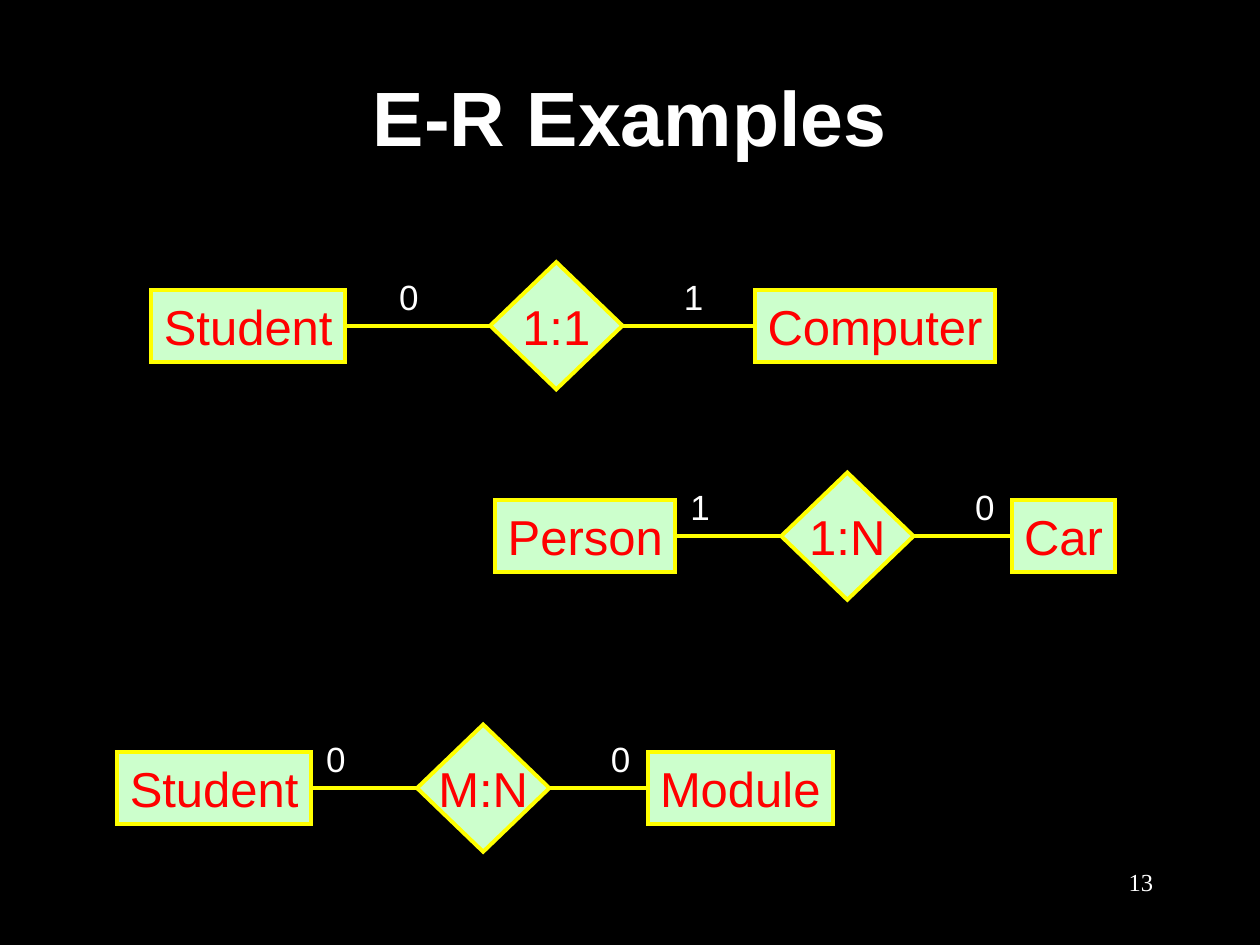
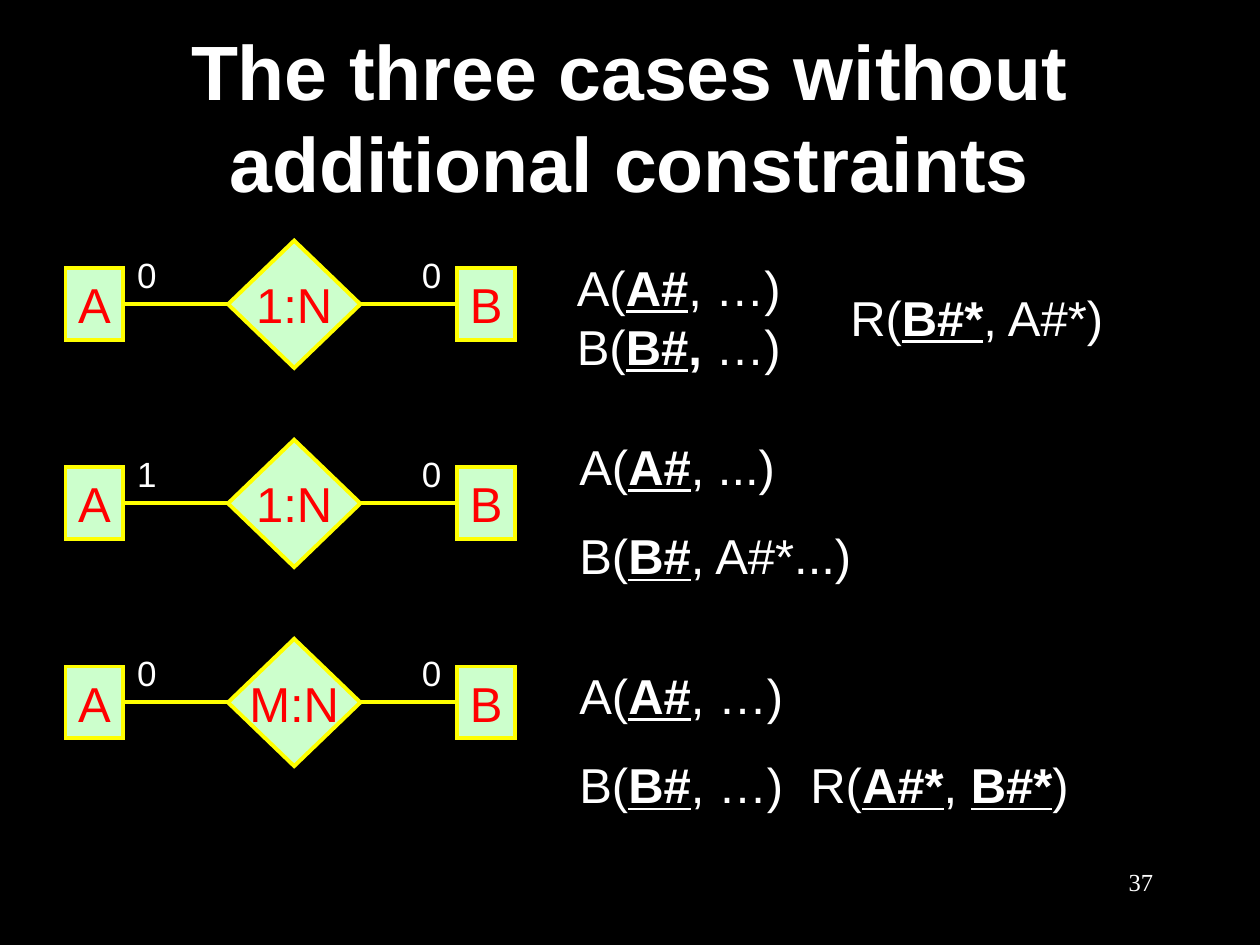
from dataclasses import dataclass
from functools import partial
from typing import NamedTuple

from lxml import etree
from pptx import Presentation
from pptx import util as u
from pptx.dml.color import RGBColor
from pptx.enum import shapes, text
from pptx.oxml.ns import qn


# Shared look
@dataclass(frozen=True)
class Theme:
    background: RGBColor = RGBColor(0x00, 0x00, 0x00)
    ink: RGBColor = RGBColor(0xFF, 0xFF, 0xFF)
    node_fill: RGBColor = RGBColor(0xCC, 0xFF, 0xCC)
    node_text: RGBColor = RGBColor(0xFF, 0x00, 0x00)
    outline: RGBColor = RGBColor(0xFF, 0xFF, 0x00)
    outline_width: float = 2.25
    font: str = "Arial"
    number_font: str = "Times New Roman"
    title_size: int = 44
    body_size: int = 28
    label_size: int = 20
    number_size: int = 14


THEME = Theme()
ALIGN = text.PP_ALIGN
ANCHOR = text.MSO_ANCHOR
FIT = text.MSO_AUTO_SIZE


# Content types
class Span(NamedTuple):
    text: str
    bold: bool = False
    underline: bool = False


class Entity(NamedTuple):
    name: str
    left: float
    width: float


class Relationship(NamedTuple):
    """Two entities joined through a diamond, with a minimum at each end."""
    source: Entity
    target: Entity
    cardinality: str
    minimums: tuple[str, str]
    left: float  # of the diamond
    top: float


class Schema(NamedTuple):
    left: float
    top: float
    width: float
    height: float
    lines: list[list[Span]]
    space_before: float = 0
    wrap: bool = False


KEY = partial(Span, bold=True, underline=True)

# Relationship geometry, measured from the diamond's corner
DIAMOND_WIDTH, DIAMOND_HEIGHT = 1.05, 1.01
ENTITY_HEIGHT = 0.57
ENTITY_DROP = (DIAMOND_HEIGHT - ENTITY_HEIGHT) / 2
MINIMUM_OFFSETS = (-0.82, 1.44)
MINIMUM_DROP = 0.05
MINIMUM_WIDTH, MINIMUM_HEIGHT = 0.35, 0.44


def place(left: float, top: float, width: float, height: float) -> tuple:
    return tuple(u.Inches(n) for n in (left, top, width, height))


def write(frame, lines: list[list[Span]], *, size: float = THEME.body_size,
          color: RGBColor = THEME.ink, font: str = THEME.font,
          align=ALIGN.CENTER, anchor=ANCHOR.MIDDLE, wrap: bool = False,
          fit=FIT.SHAPE_TO_FIT_TEXT, inset: tuple[float, float] = (0.1, 0.05),
          before: float = 0, after: float = 0) -> None:
    """Fill a text frame, one list of spans per paragraph."""
    frame.word_wrap = wrap
    frame.auto_size = fit
    frame.vertical_anchor = anchor
    frame.margin_left = frame.margin_right = u.Inches(inset[0])
    frame.margin_top = frame.margin_bottom = u.Inches(inset[1])
    for index, line in enumerate(lines):
        paragraph = frame.add_paragraph() if index else frame.paragraphs[0]
        paragraph.alignment = align
        paragraph.space_before = u.Pt(before)
        paragraph.space_after = u.Pt(after)
        for span in line:
            run = paragraph.add_run()
            run.text = span.text
            run.font.name = font
            run.font.size = u.Pt(size)
            run.font.color.rgb = color
            run.font.bold = span.bold
            run.font.underline = span.underline


def add_text(slide, box: tuple, lines: list[list[Span]], **formatting) -> None:
    write(slide.shapes.add_textbox(*box).text_frame, lines, **formatting)


def draw_outline(part) -> None:
    """Theme line with sharp corners."""
    part.line.color.rgb = THEME.outline
    part.line.width = u.Pt(THEME.outline_width)
    etree.SubElement(part._element.spPr.find(qn("a:ln")), qn("a:miter"), lim="800000")


def add_node(slide, preset, box: tuple, name: str):
    node = slide.shapes.add_shape(preset, *box)
    node.shadow.inherit = False
    node.fill.solid()
    node.fill.fore_color.rgb = THEME.node_fill
    draw_outline(node)
    write(node.text_frame, [[Span(name)]], color=THEME.node_text,
          fit=FIT.NONE, inset=(0, 0))
    return node


def add_link(slide, start, end) -> None:
    """Join the right side of start to the left side of end."""
    link = slide.shapes.add_connector(shapes.MSO_CONNECTOR.STRAIGHT, 0, 0, 0, 0)
    link.begin_connect(start, 3)
    link.end_connect(end, 1)
    draw_outline(link)
    etree.SubElement(link._element.spPr, qn("a:effectLst"))


def add_relationship(slide, rel: Relationship) -> None:
    source, target = (
        add_node(slide, shapes.MSO_SHAPE.FLOWCHART_PROCESS,
                 place(entity.left, rel.top + ENTITY_DROP, entity.width, ENTITY_HEIGHT),
                 entity.name)
        for entity in (rel.source, rel.target))
    diamond = add_node(slide, shapes.MSO_SHAPE.FLOWCHART_DECISION,
                       place(rel.left, rel.top, DIAMOND_WIDTH, DIAMOND_HEIGHT),
                       rel.cardinality)
    add_link(slide, source, diamond)
    add_link(slide, diamond, target)
    for minimum, offset in zip(rel.minimums, MINIMUM_OFFSETS):
        add_text(slide, place(rel.left + offset, rel.top + MINIMUM_DROP,
                              MINIMUM_WIDTH, MINIMUM_HEIGHT),
                 [[Span(minimum)]], size=THEME.label_size)


def add_schema(slide, schema: Schema) -> None:
    add_text(slide, place(schema.left, schema.top, schema.width, schema.height),
             schema.lines, align=ALIGN.LEFT, wrap=schema.wrap,
             before=schema.space_before)


def add_titled_slide(prs, heading: str, number: int):
    slide = prs.slides.add_slide(prs.slide_layouts[5])
    title = slide.shapes.title
    title.left, title.top, title.width, title.height = place(0.75, 0.42, 8.5, 1)
    write(title.text_frame, [[Span(heading, bold=True)]], size=THEME.title_size,
          wrap=True, fit=FIT.NONE, before=6, after=3)
    add_text(slide, place(7.17, 6.83, 2.08, 0.5), [[Span(str(number))]],
             size=THEME.number_size, font=THEME.number_font, align=ALIGN.RIGHT,
             anchor=ANCHOR.TOP, wrap=True, fit=FIT.NONE)
    return slide


# Slide content
EXAMPLES = [
    Relationship(Entity("Student", 1.2, 1.54), Entity("Computer", 5.99, 1.91),
                 "1:1", ("0", "1"), 3.89, 2.08),
    Relationship(Entity("Person", 3.93, 1.43), Entity("Car", 8.03, 0.82),
                 "1:N", ("1", "0"), 6.2, 3.75),
    Relationship(Entity("Student", 0.93, 1.54), Entity("Module", 5.14, 1.47),
                 "M:N", ("0", "0"), 3.31, 5.75),
]

CASES = [("1:N", ("0", "0")), ("1:N", ("1", "0")), ("M:N", ("0", "0"))]
CASE_TOP, CASE_STEP = 1.91, 1.58

A_KEYED = [Span("A("), KEY("A#"), Span(", …)")]
SCHEMAS = [
    Schema(4.48, 1.99, 1.82, 1.04, [
        A_KEYED,
        [Span("B("), KEY("B#"), Span(", ", bold=True), Span("…)")],
    ]),
    Schema(6.65, 2.23, 2.23, 0.57, [[Span("R("), KEY("B#*"), Span(", A#*)")]]),
    Schema(4.5, 3.41, 3, 1.28, [
        [Span("A("), KEY("A#"), Span(", ...)")],
        [Span("B("), KEY("B#"), Span(", A#*...)")],
    ], space_before=17.5, wrap=True),
    Schema(4.5, 5.23, 4.75, 1.28, [
        A_KEYED,
        [Span("B("), KEY("B#"), Span(", …)  R("), KEY("A#*"), Span(", "),
         KEY("B#*"), Span(")")],
    ], space_before=17.5, wrap=True),
]


def main() -> None:
    prs = Presentation()
    prs.slide_width, prs.slide_height = u.Inches(10), u.Inches(7.5)
    backdrop = prs.slide_master.background.fill
    backdrop.solid()
    backdrop.fore_color.rgb = THEME.background

    # Examples
    examples = add_titled_slide(prs, "E-R Examples", 13)
    for example in EXAMPLES:
        add_relationship(examples, example)

    # Three cases and their schemas
    cases = add_titled_slide(prs, "The three cases without additional constraints", 37)
    for row, (cardinality, minimums) in enumerate(CASES):
        add_relationship(cases, Relationship(
            Entity("A", 0.52, 0.46), Entity("B", 3.63, 0.46),
            cardinality, minimums, 1.81, CASE_TOP + row * CASE_STEP))
    for schema in SCHEMAS:
        add_schema(cases, schema)

    prs.save("out.pptx")


if __name__ == "__main__":
    main()
